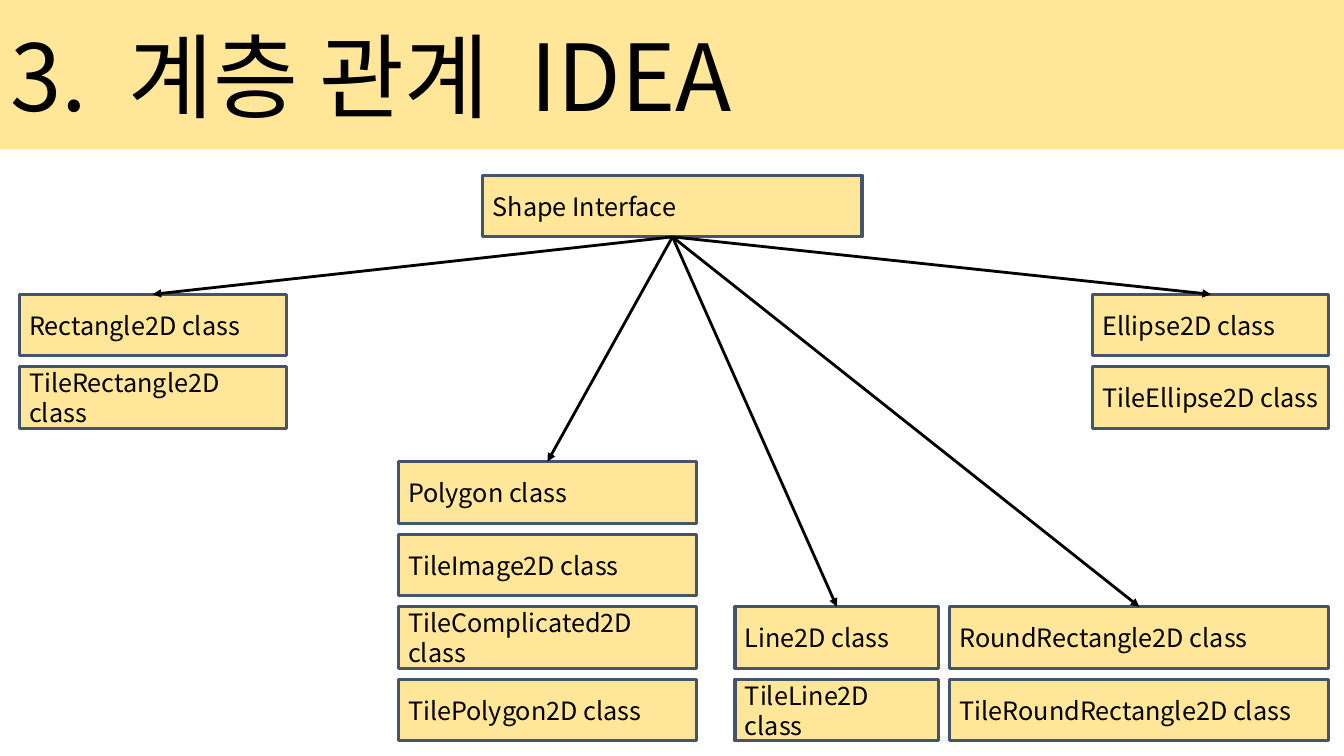
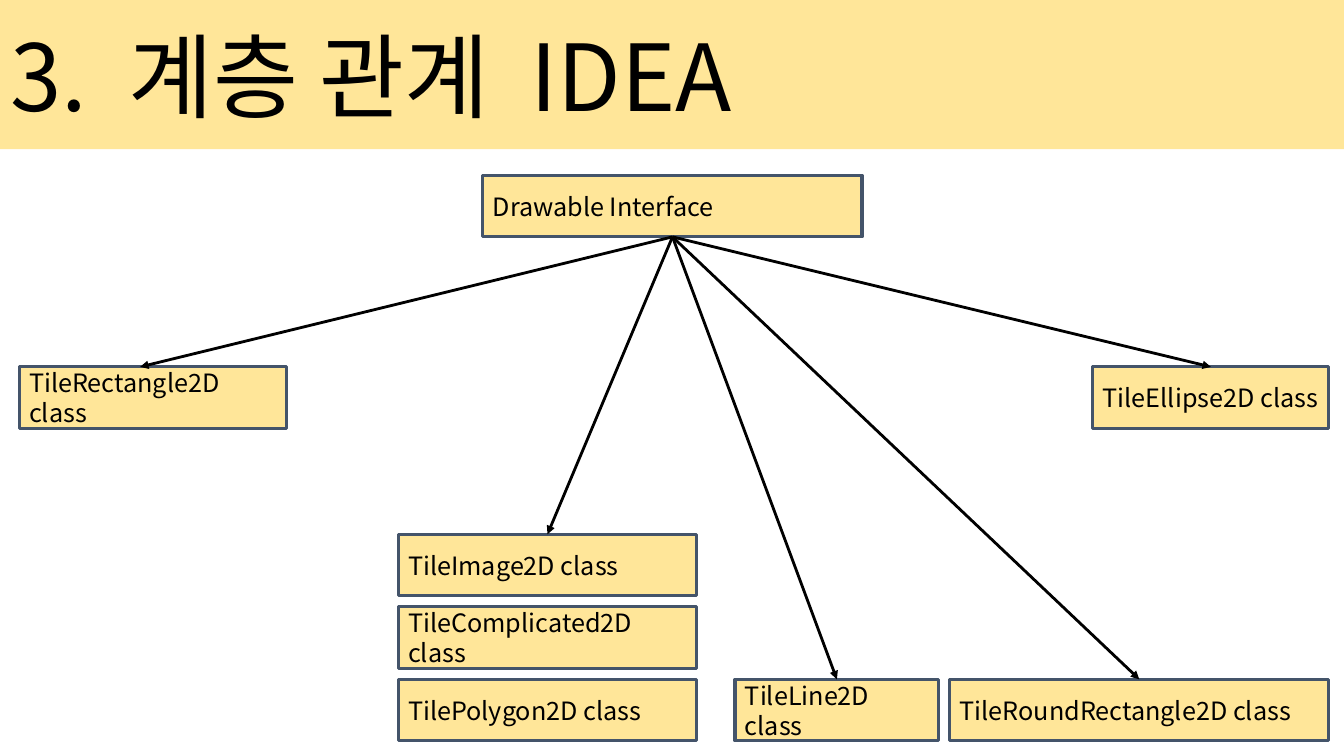
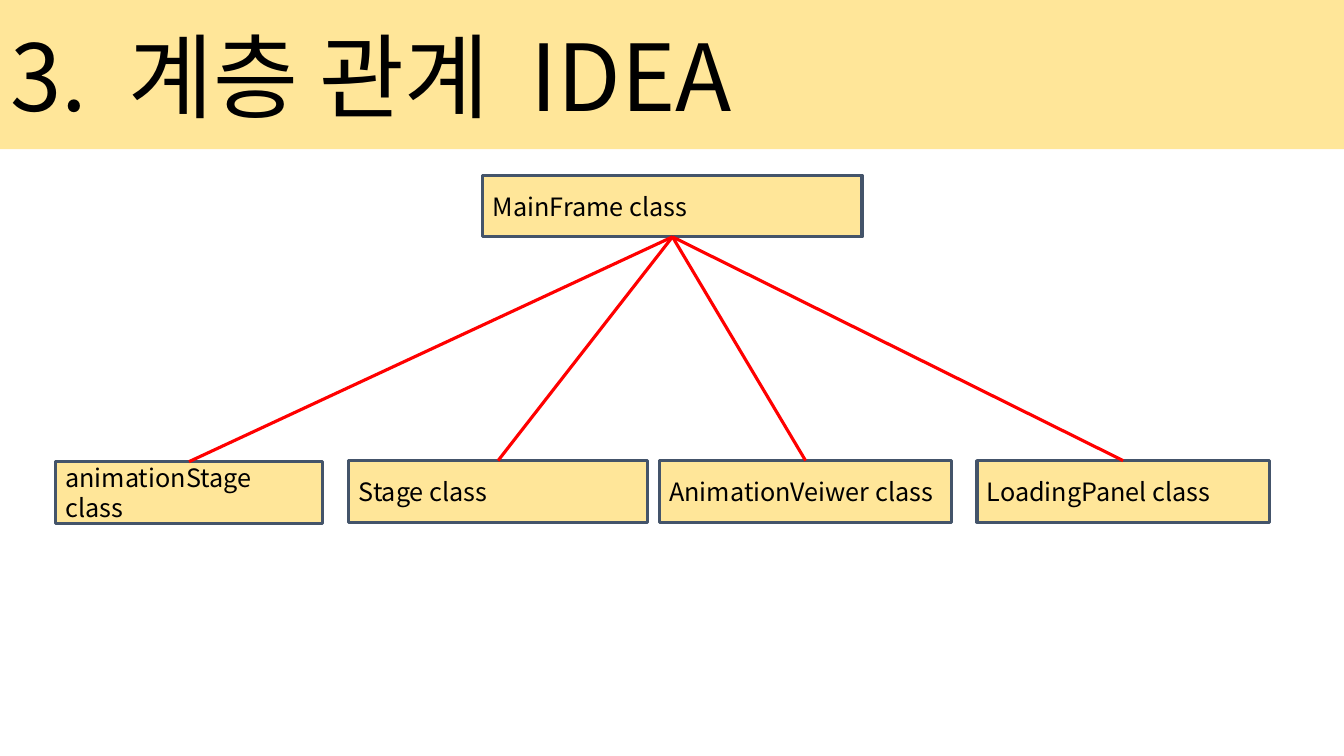
from dataclasses import dataclass

from lxml import etree
from pptx import Presentation
from pptx import util as u
from pptx.dml.color import RGBColor
from pptx.enum import shapes, text
from pptx.oxml.ns import qn


@dataclass(frozen=True)
class Theme:
    font: str = "Noto Sans CJK KR"
    fill: str = "FFE699"
    edge: str = "44546A"
    ink: str = "000000"
    red: str = "FF0000"
    head: int = 66
    body: int = 18
    gap: float = 14.8  # extra width of the wide spaces in the title, points
    rim: float = 2.25


T = Theme()
WIDE, HIGH = 13.33, 7.5
BAND = 1.48
ROOT = (4.79, 1.74, 3.76)  # left, top, width
TALL, PITCH = 0.61, 0.72  # box height, step between stacked boxes

TITLE = ["3.", "계층 관계", "IDEA"]

# Each stack: left, width, top of its lowest box, names from top to bottom
SHAPES = [
    (0.19, 2.65, 3.64, ["Rectangle2D class", "TileRectangle2D class"]),
    (3.95, 2.96, 6.74, ["Polygon class", "TileImage2D class",
                        "TileComplicated2D class", "TilePolygon2D class"]),
    (7.29, 2.02, 6.74, ["Line2D class", "TileLine2D class"]),
    (9.42, 3.76, 6.74, ["RoundRectangle2D class",
                        "TileRoundRectangle2D class"]),
    (10.84, 2.34, 3.64, ["Ellipse2D class", "TileEllipse2D class"]),
]
TILES = [(left, wide, low, names[1:]) for left, wide, low, names in SHAPES]
PANELS = [
    (0.55, 2.65, 4.58, ["animationStage class"]),
    (3.46, 2.96, 4.57, ["Stage class"]),
    (6.54, 2.9, 4.57, ["AnimationVeiwer class"]),
    (9.69, 2.9, 4.57, ["LoadingPanel class"]),
]

ARROW = dict(color=T.ink, width=2, arrow=True)
PLAIN = dict(color=T.red, width=2.25, arrow=False)

# Root name, stacks, line style, line ends that are off centre (by stack)
SLIDES = [
    ("Shape Interface", SHAPES, ARROW, {}),
    ("Drawable Interface", TILES, ARROW, {0: 1.39}),
    ("MainFrame class", PANELS, PLAIN, {}),
]


def rgb(code):
    return RGBColor.from_string(code)


def write(par, words, size, gap=0):
    """Add a run; gap widens its letter spacing, in points."""
    run = par.add_run()
    run.text = words
    run.font.size = u.Pt(size)
    run.font.name = T.font
    run.font.color.rgb = rgb(T.ink)
    props = run.font._element
    etree.SubElement(props, qn("a:ea")).set("typeface", T.font)
    if gap:
        props.set("spc", str(round(gap * 100)))


def panel(shape):
    """Give a shape the shared fill and text frame; return its paragraph."""
    shape.fill.solid()
    shape.fill.fore_color.rgb = rgb(T.fill)
    frame = shape.text_frame
    frame.word_wrap = True
    frame.auto_size = text.MSO_AUTO_SIZE.NONE
    frame.vertical_anchor = text.MSO_ANCHOR.MIDDLE
    par = frame.paragraphs[0]
    par.alignment = text.PP_ALIGN.LEFT
    return par


def title(slide):
    band = slide.shapes.title
    band.left = band.top = 0
    band.width, band.height = u.Inches(WIDE), u.Inches(BAND)
    par = panel(band)
    for i, part in enumerate(TITLE):
        if i:
            write(par, " ", T.head, gap=T.gap)
        write(par, part, T.head)


def box(slide, name, left, top, wide):
    shape = slide.shapes.add_shape(
        shapes.MSO_SHAPE.RECTANGLE,
        *map(u.Inches, (left, top, wide, TALL)))
    shape.shadow.inherit = False
    shape.line.color.rgb = rgb(T.edge)
    shape.line.width = u.Pt(T.rim)
    write(panel(shape), name, T.body)
    return shape


def stack(slide, left, wide, low, names):
    """Pile boxes up from the lowest; return the top one."""
    first = low - PITCH * (len(names) - 1)
    return [box(slide, name, left, first + PITCH * i, wide)
            for i, name in enumerate(names)][0]


def link(slide, root, child, tip, color, width, arrow):
    line = slide.shapes.add_connector(
        shapes.MSO_CONNECTOR.STRAIGHT,
        root.left + root.width // 2, root.top + root.height,
        u.Inches(tip) if tip else child.left + child.width // 2, child.top)
    line.begin_connect(root, 2)
    if not tip:
        line.end_connect(child, 0)
    line.line.color.rgb = rgb(color)
    line.line.width = u.Pt(width)
    if arrow:
        etree.SubElement(line.line._get_or_add_ln(),
                         qn("a:tailEnd")).set("type", "triangle")
    etree.SubElement(line._element.spPr, qn("a:effectLst"))


def main():
    deck = Presentation()
    deck.slide_width, deck.slide_height = u.Inches(WIDE), u.Inches(HIGH)
    for name, stacks, style, tips in SLIDES:
        slide = deck.slides.add_slide(deck.slide_layouts[5])
        title(slide)
        root = box(slide, name, *ROOT)
        tops = [stack(slide, *item) for item in stacks]
        for i, child in enumerate(tops):
            link(slide, root, child, tips.get(i), **style)
    deck.save("out.pptx")


if __name__ == "__main__":
    main()
